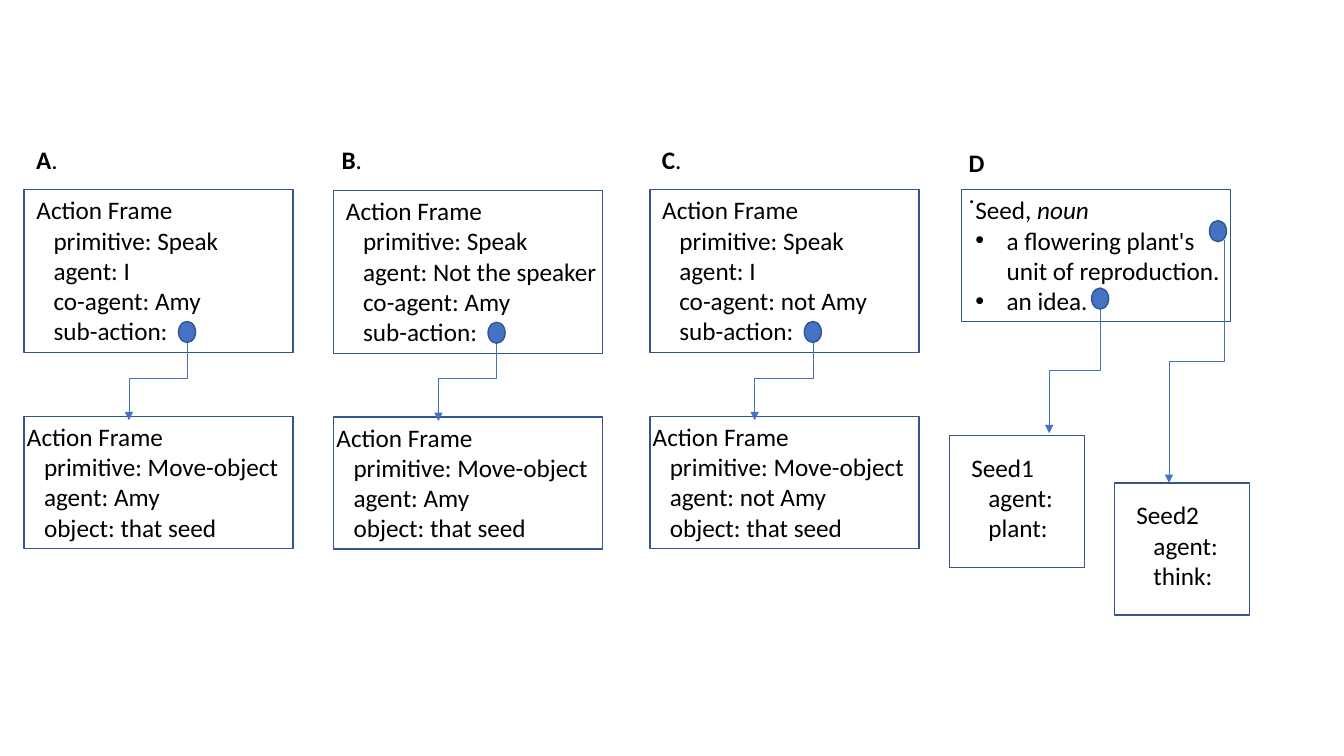
"""Build a slide of action frames and word senses linked by arrows."""
from lxml.etree import SubElement
from pptx import Presentation
from pptx.dml.color import RGBColor
from pptx.enum.shapes import MSO_CONNECTOR as CONN, MSO_SHAPE as SHAPE
from pptx.enum.text import MSO_AUTO_SIZE as AUTO
from pptx.oxml.ns import qn
from pptx.util import Cm, Pt

rgb = RGBColor.from_string
BLUE, NAVY, BLACK = "4472C4", "325491", "000000"

prs = Presentation()
prs.slide_width, prs.slide_height = Cm(33.87), Cm(19.05)
s = prs.slides.add_slide(prs.slide_layouts[6])


def add_box(kind, x, y, w, h, fill=None):
    sp = s.shapes.add_shape(kind, Cm(x), Cm(y), Cm(w), Cm(h))
    sp.shadow.inherit = False
    sp.line.color.rgb = rgb(NAVY)
    sp.line.width = Pt(1)
    if fill:
        sp.fill.solid()
        sp.fill.fore_color.rgb = rgb(fill)
    else:
        sp.fill.background()


def add_text(x, y, w, h, head, items=(), wrap=False, bullet=False):
    tf = s.shapes.add_textbox(Cm(x), Cm(y), Cm(w), Cm(h)).text_frame
    tf.word_wrap = wrap
    tf.auto_size = AUTO.SHAPE_TO_FIT_TEXT
    for i, runs in enumerate([head] + [[(item, "")] for item in items]):
        p = tf.paragraphs[0] if i == 0 else tf.add_paragraph()
        if i:
            pPr = p._p.get_or_add_pPr()
            pPr.set("marL", str(Cm(0.79 if bullet else 0.43)))
            if bullet:
                pPr.set("indent", str(-Cm(0.79)))
                SubElement(pPr, qn("a:buFont")).set("typeface", "Arial")
                SubElement(pPr, qn("a:buChar")).set("char", "•")
        for text, style in runs:
            r = p.add_run()
            r.text = text
            r.font.name, r.font.size = "Calibri", Pt(18)
            r.font.bold, r.font.italic = style == "b", style == "i"
            r.font.color.rgb = rgb(BLACK)


labels = [("A", 0.66, 3.5), ("B", 8.36, 3.5), ("C", 16.43, 3.5), ("D", 24.16, 3.6)]
for letter, x, y in labels:
    add_text(x, y, 1.05, 1.02, [(letter, "b"), (".", "")])

frames = [
    (0.61, 4.78, 5.16, "I", "Amy", "Amy"),
    (8.41, 4.8, 6.91, "Not the speaker", "Amy", "Amy"),
    (16.38, 4.78, 5.74, "I", "not Amy", "not Amy"),
]
links, dots = [], []
for x, y, w, agent, co_agent, mover in frames:
    add_box(SHAPE.RECTANGLE, x, y, 6.78, 4.11)
    add_text(x + 0.06, y, w, 4.88, [("Action Frame", "")],
             ["primitive: Speak", f"agent: {agent}", f"co-agent: {co_agent}", "sub-action:"])
    add_box(SHAPE.RECTANGLE, x, y + 5.71, 6.78, 3.33)
    add_text(x - 0.18, y + 5.71, 7.47, 3.33, [("Action Frame", "")],
             ["primitive: Move-object", f"agent: {mover}", "object: that seed"], wrap=True)
    links.append((x + 4.11, y + 3.68, x + 2.64, y + 5.81))
    dots.append((x + 3.89, y + 3.32))

add_box(SHAPE.RECTANGLE, 24.23, 4.78, 6.78, 3.33)
add_text(24.33, 4.78, 6.78, 3.33, [("Seed, ", ""), ("noun", "i")],
         ["a flowering plant's unit of reproduction.", "an idea."], wrap=True, bullet=True)
links += [(30.86, 6.05, 29.46, 12.17), (27.74, 7.77, 26.44, 10.92)]
dots += [(30.48, 5.56), (27.51, 7.26)]

senses = [("Seed1", "plant:", 23.93, 10.97), ("Seed2", "think:", 28.09, 12.17)]
for name, role, x, y in senses:
    add_box(SHAPE.RECTANGLE, x, y, 3.4, 3.33)
    add_text(x + 0.3, y + 0.3, 2.59, 2.57, [(name, "")], ["agent:", role])

for x1, y1, x2, y2 in links:
    cx, cy = (x1 + x2) / 2, (y1 + y2) / 2
    dx, dy = (x1 - x2) / 2, (y2 - y1) / 2
    c = s.shapes.add_connector(CONN.ELBOW, Cm(cx - dy), Cm(cy - dx), Cm(cx + dy), Cm(cy + dx))
    c.line.color.rgb = rgb(BLUE)
    c.line.width = Pt(0.5)
    spPr = c._element.spPr
    spPr.find(qn("a:xfrm")).set("rot", "5400000")
    SubElement(spPr.find(qn("a:ln")), qn("a:tailEnd")).set("type", "triangle")
    SubElement(spPr, qn("a:effectLst"))

for x, y in dots:
    add_box(SHAPE.OVAL, x, y, 0.43, 0.53, BLUE)

prs.save("out.pptx")
